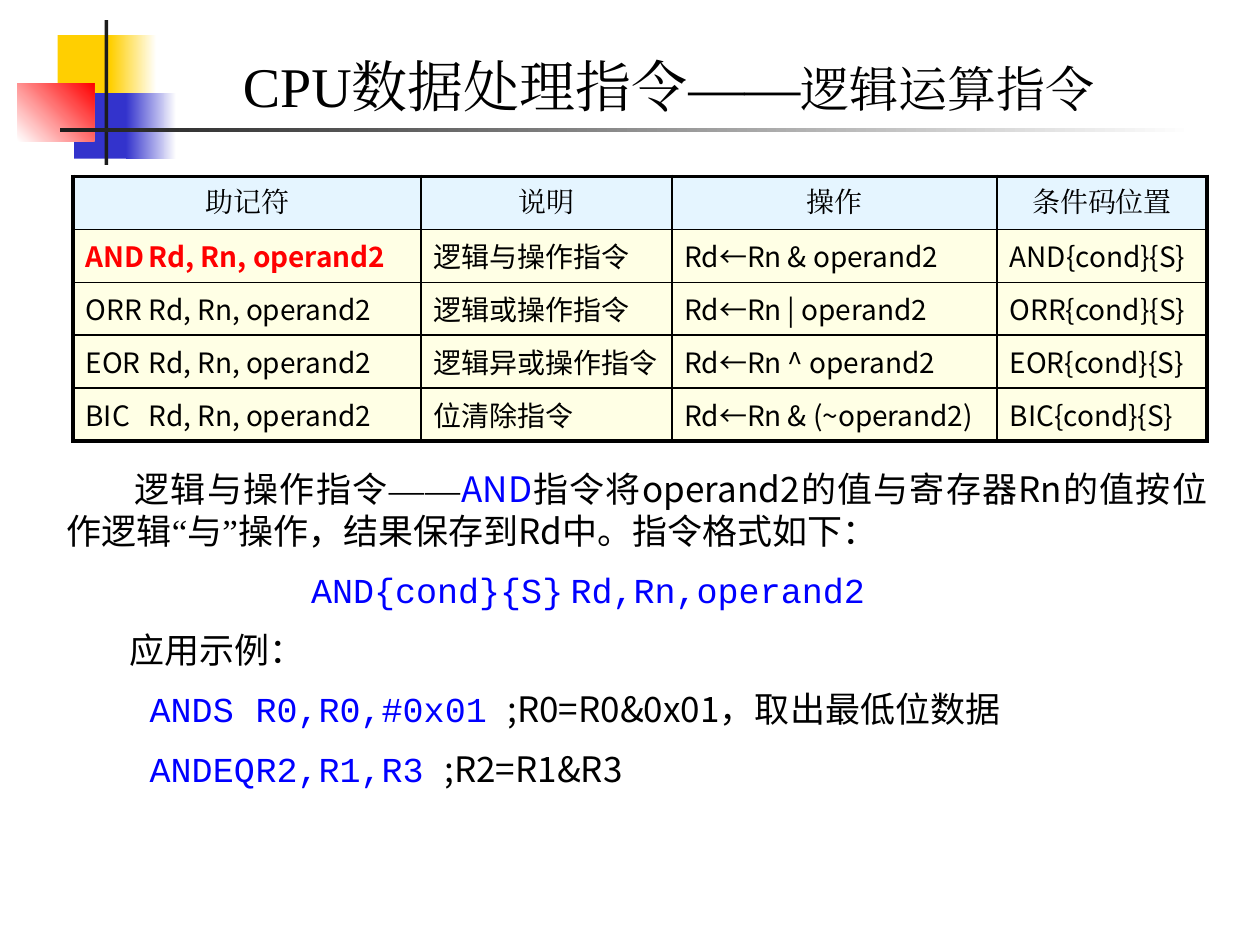
from lxml.etree import SubElement
from pptx import Presentation
from pptx.dml.color import RGBColor
from pptx.enum.shapes import MSO_SHAPE as Shape
from pptx.enum.text import MSO_ANCHOR as Anchor, MSO_AUTO_SIZE as AutoSize, PP_ALIGN as Align
from pptx.oxml.ns import qn
from pptx.util import Inches, Pt

GRID = 0.1
BLACK, BLUE, RED, INK = "000000", "0000FF", "FF0000", "1C1C1C"
GOLD, INDIGO, WHITE = "FFCF01", "3333CC", "FFFFFF"
SERIF, SANS, CELL_SANS, MONO = (
    "Times New Roman", "Noto Sans CJK JP", "Noto Sans CJK SC", "Courier New")


def units(count):
    return Inches(count * GRID)


def color(hex_code):
    return RGBColor.from_string(hex_code)


def write(paragraph, text, size=20, font=SANS, fill=BLACK, bold=False):
    run = paragraph.add_run()
    run.text = text
    run.font.size = Pt(size)
    run.font.name = font
    run.font.bold = bold
    run.font.color.rgb = color(fill)
    SubElement(run.font._element, qn("a:ea"), typeface=font)


def set_layout(paragraph, indent=0, tabs=()):
    props = paragraph._p.get_or_add_pPr()
    props.set("marL", "0")
    props.set("indent", str(units(indent)))
    if tabs:
        stops = SubElement(props, qn("a:tabLst"))
        for stop in tabs:
            SubElement(stops, qn("a:tab"), pos=str(units(stop)), algn="l")


def add_frame(slide, box):
    frame = slide.shapes.add_textbox(*map(units, box)).text_frame
    frame.word_wrap = True
    return frame


def add_ornament(slide, box):
    left, top, width, height = box
    bars = [
        (0.034, 0.104, 0.051, 0.452, (GOLD,), 0),
        (0.079, 0.104, 0.039, 0.452, (GOLD, WHITE), 0),
        (0.048, 0.504, 0.049, 0.452, (INDIGO,), 0),
        (0.092, 0.504, 0.043, 0.452, (INDIGO, WHITE), 0),
        (0, 0.435, 0.065, 0.4, (WHITE, RED), 45),
        (0.074, 0, 0.003, 1, (INK,), 0),
        (0.036, 0.748, 0.964, 0.026, (INK, WHITE), 0),
    ]
    for x, y, w, h, fills, angle in bars:
        bar = slide.shapes.add_shape(
            Shape.RECTANGLE, units(left + x * width), units(top + y * height),
            units(w * width), units(h * height))
        bar.shadow.inherit = False
        bar.line.fill.background()
        if len(fills) == 1:
            bar.fill.solid()
            bar.fill.fore_color.rgb = color(fills[0])
        else:
            bar.fill.gradient()
            bar.fill.gradient_angle = angle
            for stop, hex_code in zip(bar.fill.gradient_stops, fills):
                stop.color.rgb = color(hex_code)


def add_title(slide, box):
    paragraph = add_frame(slide, box).paragraphs[0]
    paragraph.alignment = Align.CENTER
    write(paragraph, "CPU数据处理指令——", size=32, font=SERIF)
    write(paragraph, "逻辑运算指令", size=28, font=SERIF)


def style_cell(cell, fill, outer_sides):
    props = cell._tc.get_or_add_tcPr()
    for side in "LRTB":
        weight = Pt(2.25 if side in outer_sides else 1)
        line = SubElement(props, qn(f"a:ln{side}"), w=str(weight))
        paint = SubElement(line, qn("a:solidFill"))
        SubElement(paint, qn("a:srgbClr"), val=BLACK)
    cell.fill.solid()
    cell.fill.fore_color.rgb = color(fill)
    SubElement(props.find(qn("a:solidFill"))[0], qn("a:alpha"), val="50000")
    cell.vertical_anchor = Anchor.MIDDLE


def add_instruction_table(slide, box):
    operations = [
        ("AND", "逻辑与操作指令", "& operand2"),
        ("ORR", "逻辑或操作指令", "| operand2"),
        ("EOR", "逻辑异或操作指令", "^ operand2"),
        ("BIC", "位清除指令", "& (~operand2)"),
    ]
    rows = [("助记符", "说明", "操作", "条件码位置")]
    rows += [(f"{name}\tRd, Rn, operand2", meaning, f"Rd←Rn {operation}", f"{name}{{cond}}{{S}}")
             for name, meaning, operation in operations]
    shares = (0.307, 0.221, 0.287, 0.185)
    last_row, last_column = len(rows) - 1, len(shares) - 1
    table = slide.shapes.add_table(len(rows), len(shares), *map(units, box)).table
    for column, share in zip(table.columns, shares):
        column.width = units(box[2] * share)
    for r, texts in enumerate(rows):
        table.rows[r].height = units(box[3] / len(rows))
        for c, text in enumerate(texts):
            cell = table.cell(r, c)
            edges = (("L", c == 0), ("R", c == last_column), ("T", r == 0), ("B", r == last_row))
            style_cell(cell, "FFFFCC" if r else "CCECFF", [side for side, outer in edges if outer])
            paragraph = cell.text_frame.paragraphs[0]
            paragraph.alignment = Align.LEFT if r else Align.CENTER
            featured = (r, c) == (1, 0)
            if r and c == 0:
                set_layout(paragraph, tabs=(6,))
            write(paragraph, text, size=16, font=CELL_SANS if r else SERIF,
                  fill=RED if featured else BLACK, bold=featured)


def add_explanation(slide, box):
    code = {"font": MONO, "fill": BLUE}
    serif = {"font": SERIF}
    passages = [
        (5.4, (), Align.JUSTIFY, [
            ("逻辑与操作指令", {}), ("——", serif), ("AND", {"fill": BLUE}),
            ("指令将operand2的值与寄存器Rn的值按位作逻辑", {}),
            ("“", serif), ("与", {}), ("”", serif),
            ("操作，结果保存到Rd中。指令格式如下：", {})]),
        (19.4, (46.1,), Align.LEFT, [("AND{cond}{S}\tRd,Rn,operand2", code)]),
        (5, (), Align.LEFT, [("应用示例：", {})]),
        (6.6, (20, 39.9), Align.LEFT, [
            ("ANDS\tR0,R0,#0x01", code), ("\t;R0=R0&0x01，取出最低位数据", {})]),
        (6.6, (23.4, 39.9), Align.LEFT, [
            ("ANDEQ\tR2,R1,R3", code), ("\t;R2=R1&R3", {})]),
    ]
    frame = add_frame(slide, box)
    frame.auto_size = AutoSize.SHAPE_TO_FIT_TEXT
    for number, (indent, tabs, alignment, runs) in enumerate(passages):
        paragraph = frame.add_paragraph() if number else frame.paragraphs[0]
        paragraph.alignment = alignment
        paragraph.line_spacing = Pt(24)
        paragraph.space_before = Pt(10)
        set_layout(paragraph, indent, tabs)
        for text, style in runs:
            write(paragraph, text, **style)


def main():
    deck = Presentation()
    deck.slide_width, deck.slide_height = units(100), units(75)
    slide = deck.slides.add_slide(deck.slide_layouts[6])
    add_ornament(slide, (1.4, 1.6, 93.4, 11.5))
    add_instruction_table(slide, (5.8, 14, 90, 21))
    add_title(slide, (11.4, 3.6, 83.3, 6.7))
    add_explanation(slide, (4.3, 36.6, 92.5, 27.7))
    deck.save("out.pptx")


if __name__ == "__main__":
    main()
